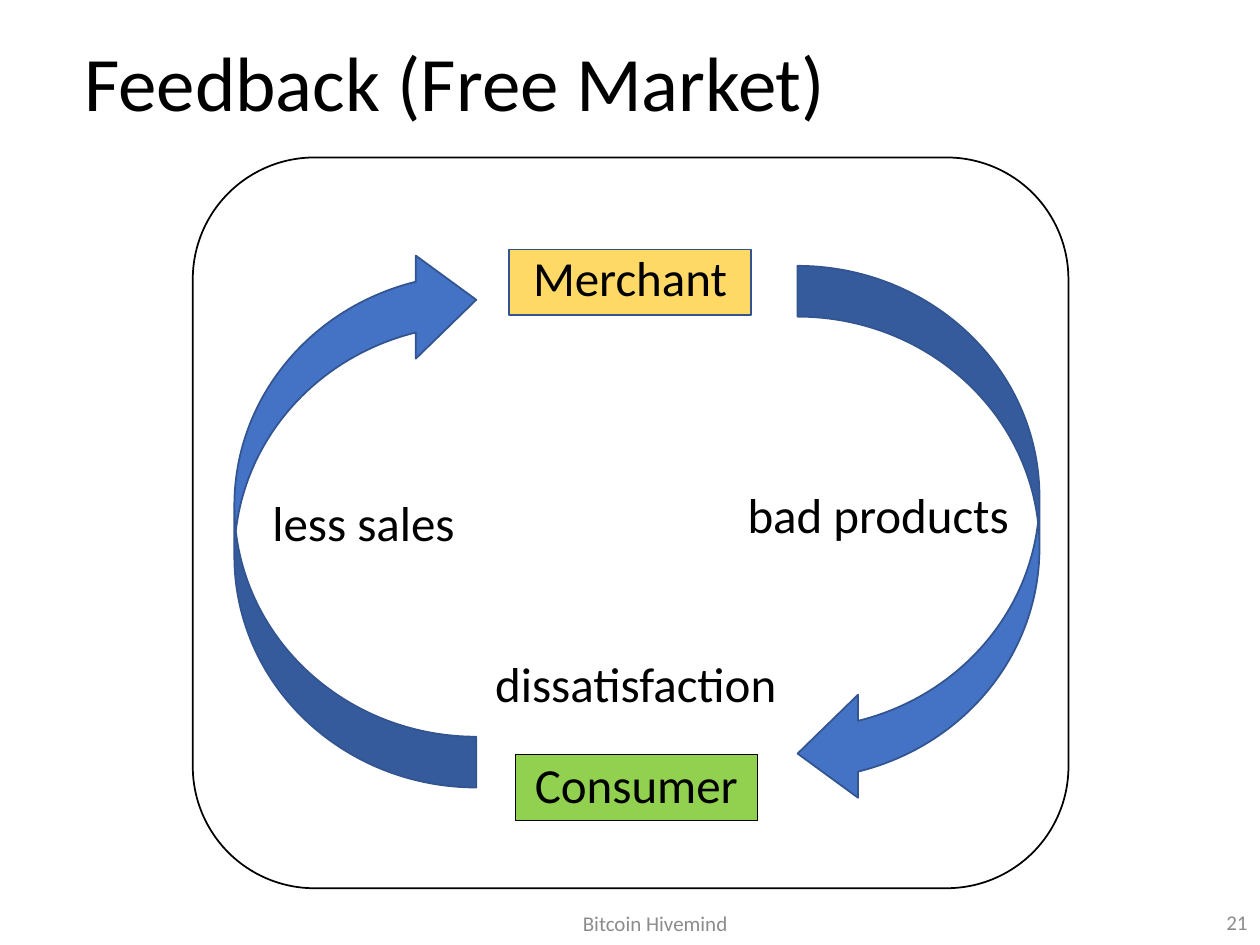
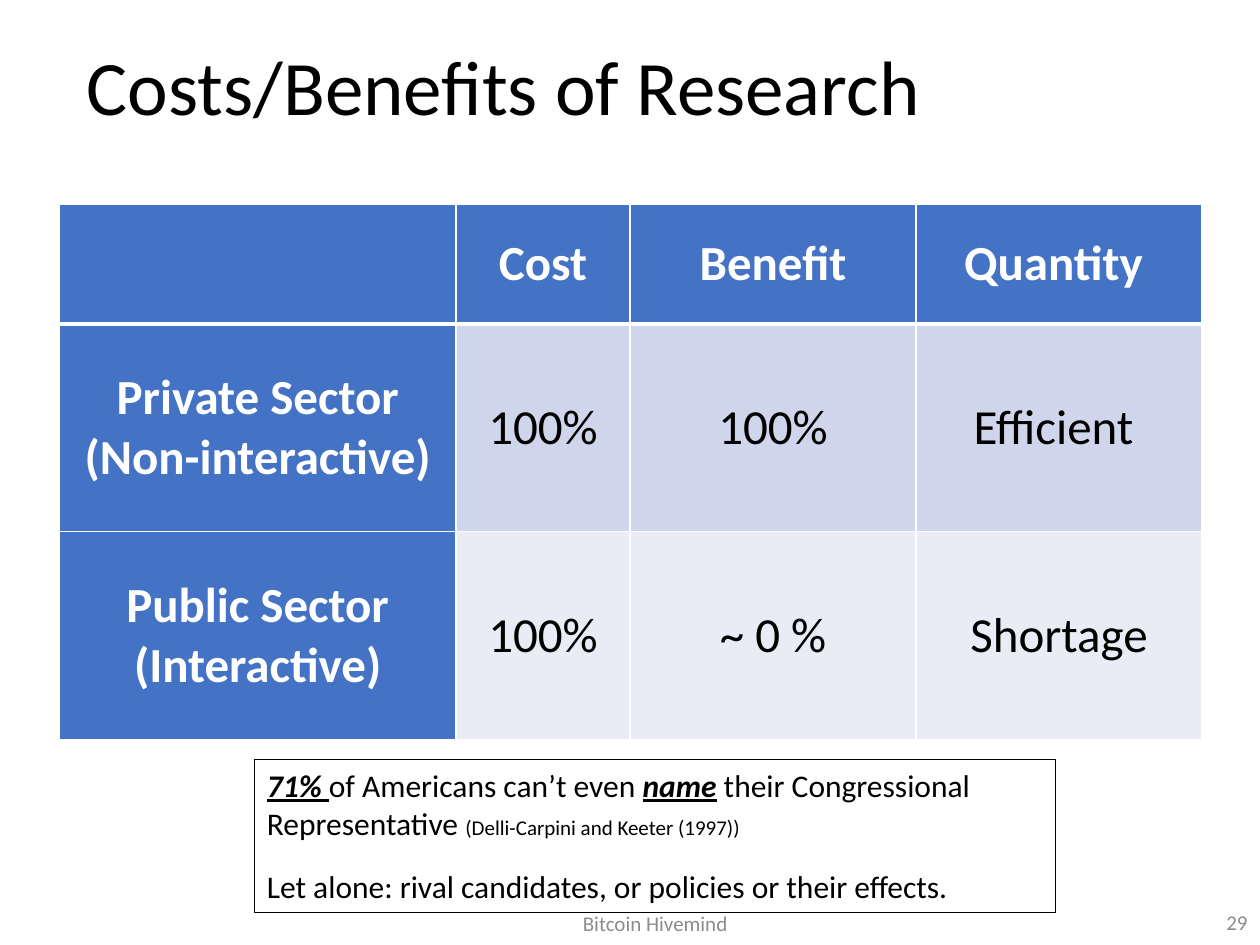
from lxml.etree import SubElement
from pptx import Presentation
from pptx.dml.color import RGBColor
from pptx.enum.shapes import MSO_SHAPE as Preset
from pptx.enum.text import MSO_ANCHOR as Anchor, PP_ALIGN as Align
from pptx.oxml import parse_xml
from pptx.oxml.ns import nsdecls, qn
from pptx.util import Inches, Pt

COLORS = {
    "black": "000000",
    "white": "FFFFFF",
    "footer": "8C8C8C",
    "blue": "4472C4",
    "outline": "325491",
    "merchant": "FFD966",
    "consumer": "92D050",
    "band_dark": "CFD5EA",
    "band_light": "E9EBF5",
}
FONT = "Calibri"
FOOTER = "Bitcoin Hivemind"
ARROW_ADJUSTMENTS = (0.21, 0.426, 0.25)
EMPHASIS = {"bold": True, "italic": True, "underline": True}


def rgb(name):
    return RGBColor.from_string(COLORS[name])


def set_all(target, values):
    for name, value in values.items():
        setattr(target, name, value)


def add_run(paragraph, text, size, color="black", **style):
    run = paragraph.add_run()
    run.text = text
    set_all(run.font, {"name": FONT, "size": Pt(size), **style})
    run.font.color.rgb = rgb(color)


def write(frame, text, size, color="black", align=Align.CENTER, spacing=1.0):
    set_all(frame, {"word_wrap": True, "vertical_anchor": Anchor.MIDDLE})
    paragraph = frame.paragraphs[0]
    set_all(paragraph, {"alignment": align, "line_spacing": spacing})
    add_run(paragraph, text, size, color)


def add_text(slide, box, text, size, **style):
    frame = slide.shapes.add_textbox(*map(Inches, box)).text_frame
    write(frame, text, size, **style)
    return frame


def add_label(slide, box, text):
    frame = add_text(slide, box, text, 28, spacing=0.9)
    set_all(frame, {"margin_left": 0, "margin_right": 0})


def add_outlined(slide, preset, box, fill=None, line="black", weight=1):
    shape = slide.shapes.add_shape(preset, *map(Inches, box))
    shape.shadow.inherit = False
    if fill:
        shape.fill.solid()
        shape.fill.fore_color.rgb = rgb(fill)
    else:
        shape.fill.background()
    shape.line.color.rgb = rgb(line)
    shape.line.width = Pt(weight)
    return shape


def add_slide(presentation, title, title_box, number):
    slide = presentation.slides.add_slide(presentation.slide_layouts[6])
    add_text(slide, title_box, title, 44, align=Align.LEFT, spacing=0.9)
    add_text(slide, (3.51, 7.13, 3.38, 0.4), FOOTER, 12, color="footer")
    add_text(slide, (7.75, 7.12, 2.25, 0.4), str(number), 12,
             color="footer", align=Align.RIGHT)
    return slide


def add_cycle(slide, box):
    left, top, width, height = box
    add_outlined(slide, Preset.ROUNDED_RECTANGLE, box)

    actors = (
        ("Merchant", 2.51, 0.73, "merchant", "outline", 1, 0.8),
        ("Consumer", 2.56, 4.74, "consumer", "black", 0.75, 0.9),
    )
    for text, x, y, fill, line, weight, spacing in actors:
        actor = add_outlined(slide, Preset.RECTANGLE,
                             (left + x, top + y, 1.92, 0.52), fill, line, weight)
        write(actor.text_frame, text, 28, spacing=spacing)

    for x, y, rotation in ((0.33, 0.72, 180), (4.8, 0.86, 0)):
        arrow = add_outlined(slide, Preset.CURVED_LEFT_ARROW,
                             (left + x, top + y, 1.92, 4.28), "blue", "outline")
        arrow.rotation = rotation
        for index, value in enumerate(ARROW_ADJUSTMENTS):
            arrow.adjustments[index] = value

    labels = (
        ("bad products", 4.27, 2.54, 2.34, 0.64),
        ("dissatisfaction", 2.27, 3.94, 2.49, 0.52),
        ("less sales", 0.53, 2.66, 1.65, 0.52),
    )
    for text, x, y, label_width, label_height in labels:
        add_label(slide, (left + x, top + y, label_width, label_height), text)


def set_borders(cell, weights):
    properties = cell._tc.get_or_add_tcPr()
    for index, (side, weight) in enumerate(weights.items()):
        line = parse_xml(f'<a:ln{side} {nsdecls("a")} w="{Pt(weight)}"/>')
        fill = SubElement(line, qn("a:solidFill"))
        SubElement(fill, qn("a:srgbClr"), val=COLORS["white"])
        properties.insert(index, line)


def fill_cell(cell, text, row, column):
    heading = row == 0 or column == 0
    cell.fill.solid()
    cell.fill.fore_color.rgb = rgb(
        "blue" if heading else ("band_light", "band_dark")[row % 2])
    set_all(cell, {"vertical_anchor": Anchor.MIDDLE,
                   "margin_left": Inches(0.07), "margin_right": Inches(0.07),
                   "margin_top": 0, "margin_bottom": 0})
    set_borders(cell, {"L": 1, "R": 1, "T": 3 if row == 1 else 1,
                       "B": 3 if row == 0 else 1})
    frame = cell.text_frame
    for index, line in enumerate(text.split("\n") if text else ()):
        paragraph = frame.add_paragraph() if index else frame.paragraphs[0]
        paragraph.alignment = Align.CENTER
        add_run(paragraph, line, 28, "white" if heading else "black", bold=heading)


def add_sector_table(slide, box):
    rows = (
        ("", "Cost", "Benefit", "Quantity "),
        ("Private Sector\n(Non-interactive)", "100%", "100%", "Efficient "),
        ("Public Sector (Interactive)", "100%", "~ 0 %", "Shortage"),
    )
    table = slide.shapes.add_table(3, 4, *map(Inches, box)).table
    for column, width in zip(table.columns, (3.15, 1.38, 2.27, 2.27)):
        column.width = Inches(width)
    for row, height in zip(table.rows, (0.95, 1.65, 1.65)):
        row.height = Inches(height)
    for row, texts in enumerate(rows):
        for column, text in enumerate(texts):
            fill_cell(table.cell(row, column), text, row, column)


def add_voter_note(slide, box):
    note = add_outlined(slide, Preset.RECTANGLE, box, weight=0.75)
    frame = note.text_frame
    set_all(frame, {"word_wrap": True, "vertical_anchor": Anchor.TOP})
    paragraph = frame.paragraphs[0]
    paragraph.alignment = Align.LEFT
    runs = (
        ("71% ", 18, EMPHASIS),
        ("of Americans can’t even ", 18, {}),
        ("name", 18, EMPHASIS),
        (" their Congressional Representative ", 18, {}),
        ("(Delli-Carpini and Keeter (1997))", 12, {}),
    )
    for text, size, style in runs:
        add_run(paragraph, text, size, **style)
    closing = frame.add_paragraph()
    set_all(closing, {"alignment": Align.LEFT, "space_before": Pt(14.5)})
    add_run(closing, "Let alone: rival candidates, or policies or their effects.", 18)


def main():
    presentation = Presentation()
    set_all(presentation, {"slide_width": Inches(10), "slide_height": Inches(7.5)})

    feedback = add_slide(presentation, "Feedback (Free Market)",
                         (0.57, 0.14, 8.62, 1.09), 21)
    add_cycle(feedback, (1.53, 1.25, 6.95, 5.8))

    research = add_slide(presentation, "Costs/Benefits of Research",
                         (0.59, 0.22, 8.62, 1), 29)
    add_sector_table(research, (0.47, 1.62, 9.06, 4.26))
    add_voter_note(research, (2.02, 6.03, 6.36, 1.21))

    presentation.save("out.pptx")


if __name__ == "__main__":
    main()
